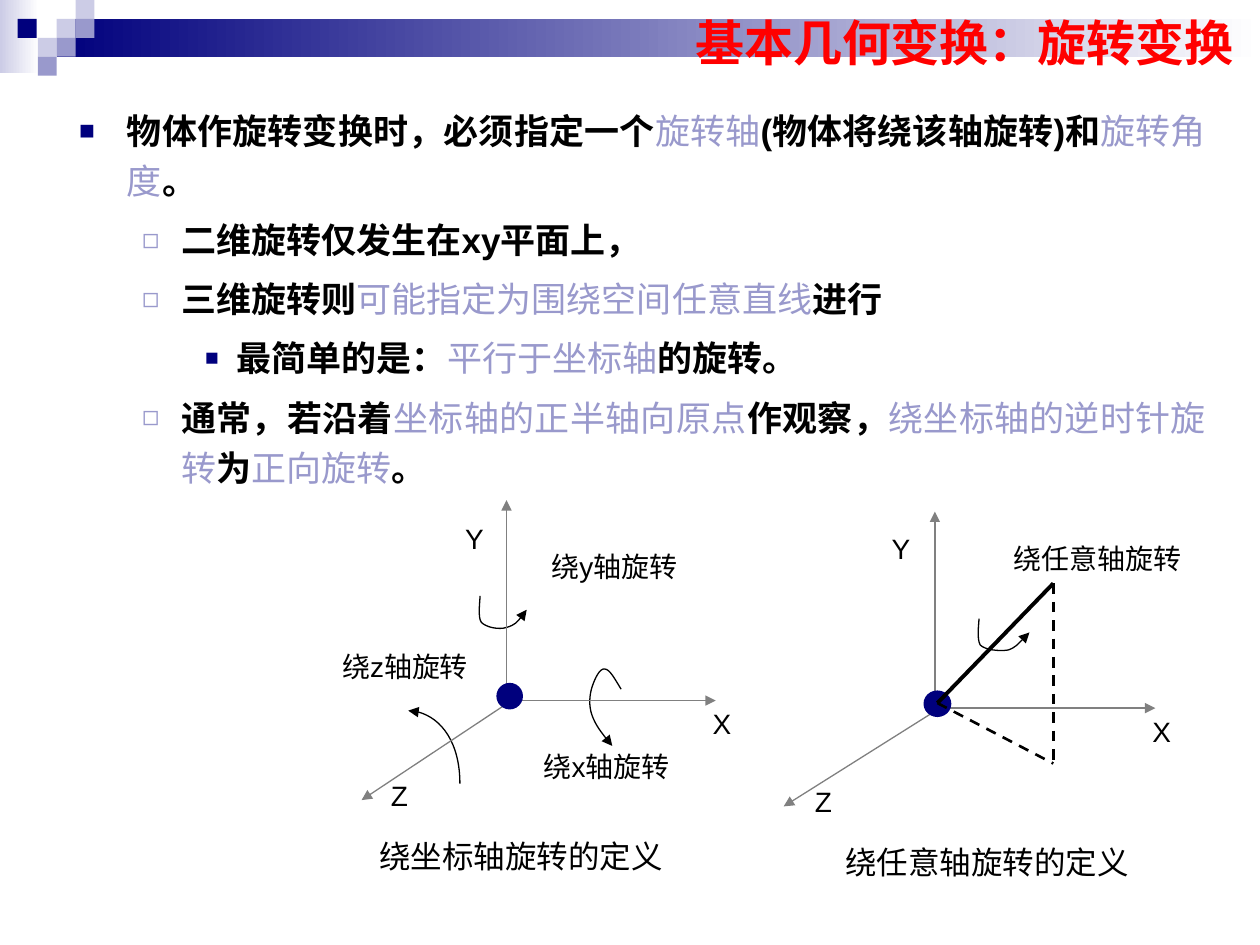
from pptx import Presentation
from pptx.dml.color import RGBColor
from pptx.enum.dml import MSO_LINE
from pptx.enum.shapes import MSO_CONNECTOR, MSO_SHAPE
from pptx.enum.text import MSO_ANCHOR, PP_ALIGN
from pptx.oxml.ns import qn
from pptx.util import Inches, Pt
from lxml.etree import SubElement

NAVY = RGBColor(0x00, 0x00, 0x7D)
LAVENDER = RGBColor(0x99, 0x99, 0xCC)
PALE = RGBColor(0xCC, 0xCC, 0xE6)
WHITE = RGBColor(0xFF, 0xFF, 0xFF)
BLACK = RGBColor(0x00, 0x00, 0x00)
GRAY = RGBColor(0x80, 0x80, 0x80)
RED = RGBColor(0xFF, 0x00, 0x00)

prs = Presentation()
prs.slide_width = Inches(10)
prs.slide_height = Inches(7.5)
slide = prs.slides.add_slide(prs.slide_layouts[6])
shapes = slide.shapes


def add_text(left, top, width, height, text, size, color=BLACK, bold=False, align=PP_ALIGN.CENTER):
    frame = shapes.add_textbox(Inches(left), Inches(top), Inches(width), Inches(height)).text_frame
    frame.word_wrap = True
    paragraph = frame.paragraphs[0]
    paragraph.alignment = align
    run = paragraph.add_run()
    run.text = text
    run.font.name = "Arial"
    run.font.size = Pt(size)
    run.font.bold = bold
    run.font.color.rgb = color
    return frame


def add_line(start, end, color, width, dash=None, arrow=False):
    line = shapes.add_connector(MSO_CONNECTOR.STRAIGHT, *[Inches(v) for v in start + end])
    line.line.color.rgb = color
    line.line.width = Pt(width)
    line.line.dash_style = dash
    if arrow:
        SubElement(line.line._get_or_add_ln(), qn("a:tailEnd"), type="triangle")
    SubElement(line.element.spPr, qn("a:effectLst"))


for left, top, width, height, color in [(0, 0, 0.31, 0.58, PALE), (0.45, 0.15, 9.55, 0.3, NAVY)]:
    band = shapes.add_shape(MSO_SHAPE.RECTANGLE, Inches(left), Inches(top), Inches(width), Inches(height))
    band.shadow.inherit = False
    band.line.fill.background()
    band.fill.gradient()
    band.fill.gradient_angle = 0
    for stop, stop_color in zip(band.fill.gradient_stops, (color, WHITE)):
        stop.color.rgb = stop_color

for left, top, color in [
    (0.45, 0.15, PALE), (0.6, 0, PALE), (0.6, 0.15, LAVENDER), (0.3, 0.3, PALE),
    (0.14, 0.15, NAVY), (0.45, 0.3, LAVENDER), (0.3, 0.45, LAVENDER),
]:
    square = shapes.add_shape(MSO_SHAPE.RECTANGLE, Inches(left), Inches(top), Inches(0.15), Inches(0.15))
    square.shadow.inherit = False
    square.line.fill.background()
    square.fill.solid()
    square.fill.fore_color.rgb = color

BULLETS = [
    (0.38, 0.38, "■", NAVY, 75),
    (0.81, 0.31, "◻", LAVENDER, 80),
    (1.25, 0.25, "■", NAVY, 65),
]
points = [
    (0, ["物体作旋转变换时，必须指定一个", "旋转轴", "(物体将绕该轴旋转)和", "旋转角度", "。"]),
    (1, ["二维旋转仅发生在xy平面上，"]),
    (1, ["三维旋转则", "可能指定为围绕空间任意直线", "进行"]),
    (2, ["最简单的是：", "平行于坐标轴", "的旋转。"]),
    (1, ["通常，若沿着", "坐标轴的正半轴向原点", "作观察，", "绕坐标轴的逆时针旋转", "为", "正向旋转", "。"]),
]
body = shapes.add_textbox(Inches(0.53), Inches(0.75), Inches(9.14), Inches(3.28)).text_frame
body.word_wrap = True
for index, (level, pieces) in enumerate(points):
    paragraph = body.add_paragraph() if index else body.paragraphs[0]
    paragraph.level = level
    paragraph.alignment = PP_ALIGN.JUSTIFY
    paragraph.line_spacing = 1.2
    paragraph.space_before = Pt(5)
    margin, hanging, symbol, color, percent = BULLETS[level]
    props = paragraph._p.get_or_add_pPr()
    props.set("marL", str(Inches(margin)))
    props.set("indent", str(-Inches(hanging)))
    SubElement(SubElement(props, qn("a:buClr")), qn("a:srgbClr"), val=str(color))
    SubElement(props, qn("a:buSzPct"), val=str(percent * 1000))
    SubElement(props, qn("a:buFont"), typeface="Arial")
    SubElement(props, qn("a:buChar"), char=symbol)
    for position, piece in enumerate(pieces):
        emphasized = position % 2 == 1
        run = paragraph.add_run()
        run.text = piece
        run.font.name = "Arial"
        run.font.size = Pt(20)
        run.font.bold = not emphasized
        run.font.color.rgb = LAVENDER if emphasized else BLACK

title = add_text(5.42, 0.04, 4.5, 0.58, "基本几何变换：旋转变换", 28, RED, True, PP_ALIGN.LEFT)
title.vertical_anchor = MSO_ANCHOR.MIDDLE
title.margin_right = 0

rotation_arrows = [
    ("headEnd", [(3.24, 5.64), (3.47, 5.64), (3.65, 5.9), (3.65, 6.22)]),
    ("headEnd", [(4.18, 4.84), (4.14, 4.9), (4.09, 4.96), (4.02, 4.98), (3.96, 5),
                 (3.86, 4.98), (3.82, 4.94), (3.79, 4.9), (3.81, 4.77), (3.81, 4.73)]),
    ("tailEnd", [(4.93, 5.47), (4.88, 5.39), (4.84, 5.31), (4.8, 5.31), (4.76, 5.3),
                 (4.72, 5.39), (4.7, 5.45), (4.68, 5.51), (4.67, 5.6), (4.7, 5.68),
                 (4.73, 5.76), (4.83, 5.89), (4.86, 5.92)]),
    ("headEnd", [(8.17, 5.02), (8.11, 5.08), (8.06, 5.14), (8, 5.16), (7.93, 5.17),
                 (7.82, 5.16), (7.78, 5.12), (7.75, 5.07), (7.77, 4.95), (7.77, 4.91)]),
]
for arrow_end, controls in rotation_arrows:
    start, *rest = [(Inches(x), Inches(y)) for x, y in controls]
    builder = shapes.build_freeform(*start)
    builder.add_line_segments(rest, close=False)
    arc = builder.convert_to_shape()
    arc.shadow.inherit = False
    arc.fill.background()
    arc.line.color.rgb = BLACK
    arc.line.width = Pt(0.75)
    SubElement(arc.line._get_or_add_ln(), qn(f"a:{arrow_end}"), type="triangle")
    outline = next(arc.element.iter(qn("a:path")))
    segments = outline.findall(qn("a:lnTo"))
    for first in range(0, len(segments), 3):
        curve = SubElement(outline, qn("a:cubicBezTo"))
        for segment in segments[first:first + 3]:
            curve.append(segment[0])
            outline.remove(segment)

for origin, z_start, axis_ends in [
    ((4.02, 5.56), (4.06, 5.56), [(4.02, 3.97), (5.68, 5.56), (2.87, 6.35)]),
    ((7.42, 5.62), (7.46, 5.62), [(7.42, 4.06), (9.17, 5.62), (6.22, 6.4)]),
]:
    for start, end in zip((origin, origin, z_start), axis_ends):
        add_line(start, end, GRAY, 0.75, arrow=True)

for left, top, width, label in [
    (3.9, 5.9, 1.83, "绕x轴旋转"), (4.02, 4.31, 1.71, "绕y轴旋转"), (2.31, 5.11, 1.81, "绕z轴旋转"),
    (3.45, 4.09, 0.63, "Y"), (2.76, 6.13, 0.82, "Z"), (5.39, 5.56, 0.68, "X"),
    (7.75, 4.25, 1.92, "绕任意轴旋转"),
    (6.82, 4.17, 0.66, "Y"), (6.1, 6.18, 0.87, "Z"), (8.86, 5.62, 0.72, "X"),
]:
    add_text(left, top, width, 0.37, label, 16)

add_text(2.59, 6.59, 3.09, 0.4, "绕坐标轴旋转的定义", 18)
add_text(6.12, 6.64, 3.43, 0.4, "绕任意轴旋转的定义", 18)

for left, top, width in [(3.95, 5.43, 0.19), (7.34, 5.49, 0.2)]:
    origin_dot = shapes.add_shape(MSO_SHAPE.OVAL, Inches(left), Inches(top), Inches(width), Inches(0.19))
    origin_dot.shadow.inherit = False
    origin_dot.fill.solid()
    origin_dot.fill.fore_color.rgb = NAVY
    origin_dot.line.color.rgb = NAVY
    origin_dot.line.width = Pt(1.5)

center, tip, foot = (7.44, 5.58), (8.36, 4.63), (8.36, 6.06)
add_line(center, tip, BLACK, 2.25)
add_line(tip, foot, BLACK, 1.5, MSO_LINE.DASH)
add_line(center, foot, BLACK, 1.5, MSO_LINE.DASH)

prs.save("out.pptx")
